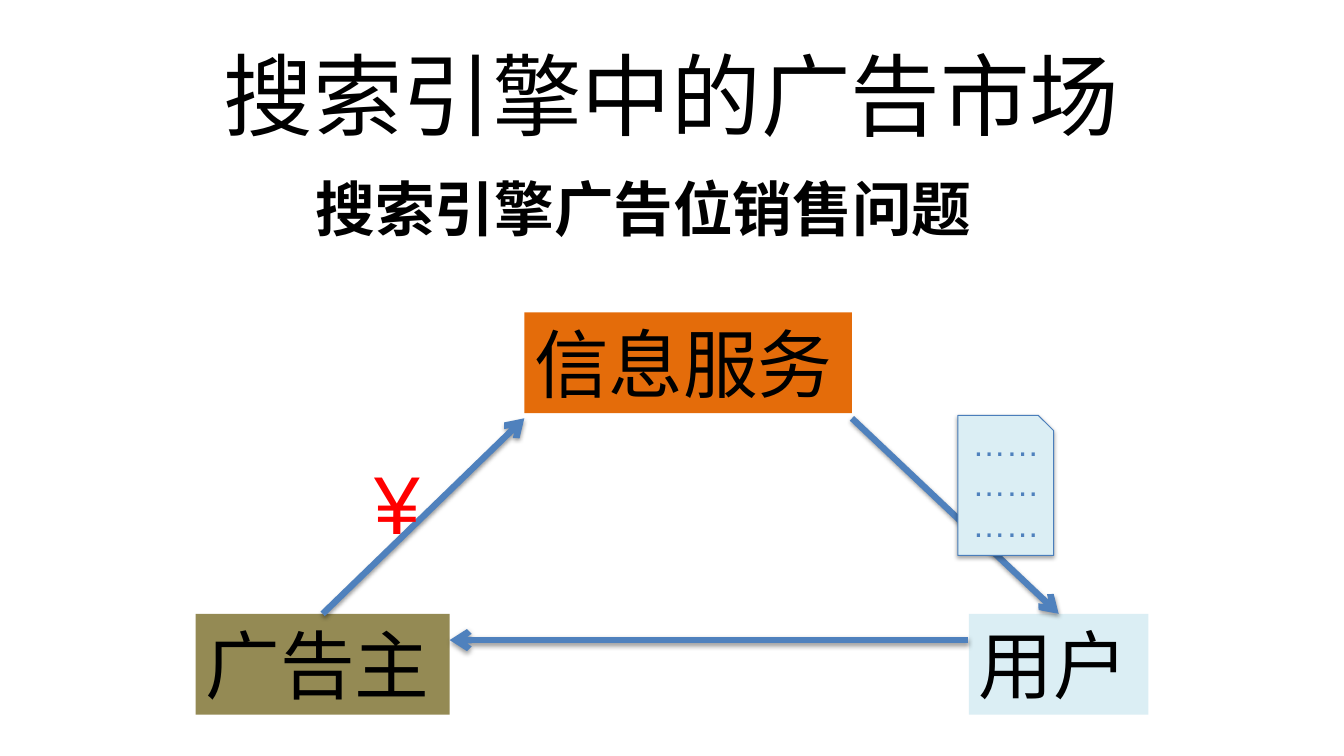
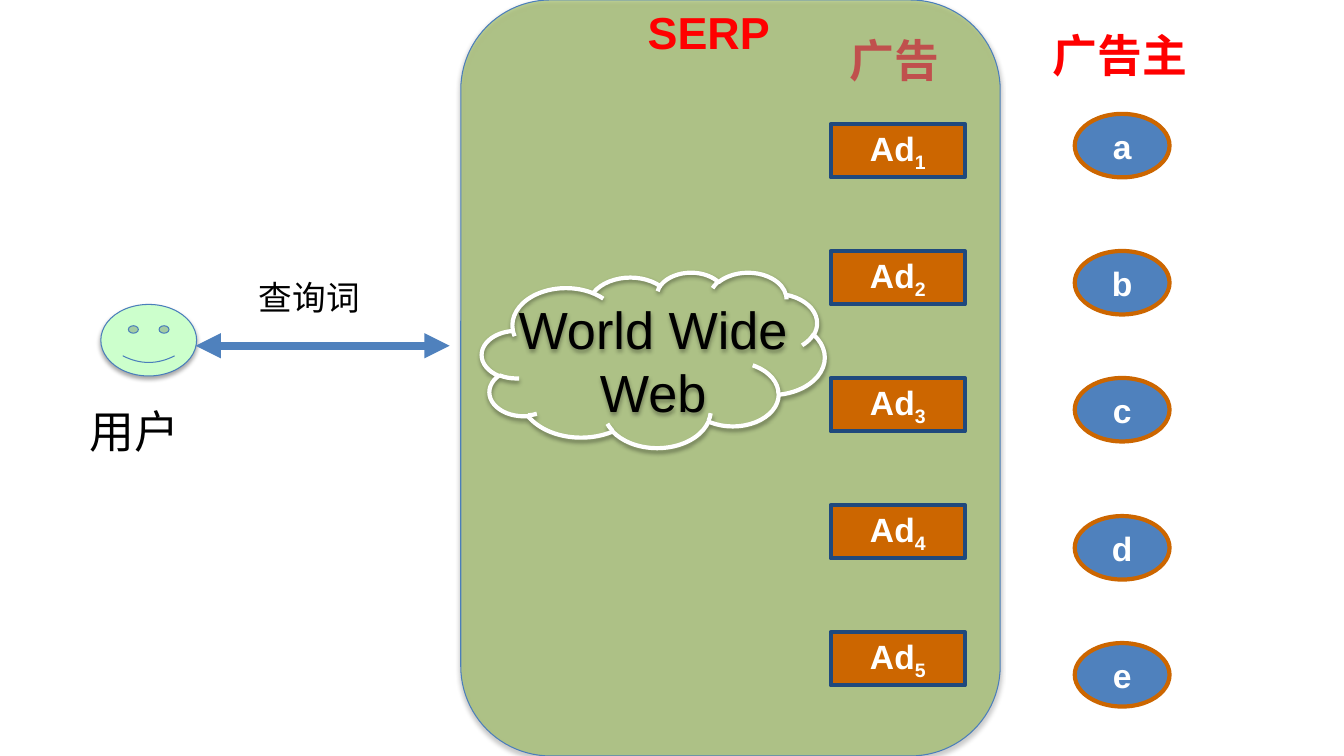
from dataclasses import dataclass
from typing import Optional

from lxml import etree
from pptx import Presentation
from pptx.dml.color import RGBColor
from pptx.enum.shapes import MSO_CONNECTOR, MSO_SHAPE
from pptx.enum.text import MSO_ANCHOR, MSO_AUTO_SIZE, PP_ALIGN
from pptx.oxml.ns import qn
from pptx.util import Inches, Pt

# Enum members
RECT, ROUND, OVAL = MSO_SHAPE.RECTANGLE, MSO_SHAPE.ROUNDED_RECTANGLE, MSO_SHAPE.OVAL
SMILE, CLOUD, SNIP = MSO_SHAPE.SMILEY_FACE, MSO_SHAPE.CLOUD, MSO_SHAPE.SNIP_1_RECTANGLE
TOP, MIDDLE = MSO_ANCHOR.TOP, MSO_ANCHOR.MIDDLE
LEFT, CENTER = PP_ALIGN.LEFT, PP_ALIGN.CENTER
STRAIGHT = MSO_CONNECTOR.STRAIGHT
NO_FIT = MSO_AUTO_SIZE.NONE

# Colours and font
FONT = "Arial"
BLACK = RGBColor(0x00, 0x00, 0x00)
WHITE = RGBColor(0xFF, 0xFF, 0xFF)
RED = RGBColor(0xFF, 0x00, 0x00)
BRICK = RGBColor(0xC0, 0x50, 0x4D)
BLUE = RGBColor(0x4F, 0x81, 0xBD)
EDGE = RGBColor(0x4A, 0x7E, 0xBB)
NAVY = RGBColor(0x1F, 0x49, 0x7D)
ORANGE = RGBColor(0xE4, 0x6C, 0x0A)
RUST = RGBColor(0xCC, 0x66, 0x00)
OLIVE = RGBColor(0x94, 0x8A, 0x54)
GREEN = RGBColor(0x9B, 0xBB, 0x59)
MINT = RGBColor(0xCC, 0xFF, 0xCC)
ICE = RGBColor(0xDB, 0xEE, 0xF4)

Box = tuple[float, float, float, float]
Point = tuple[float, float]


@dataclass
class Words:
    text: str
    size: float
    color: RGBColor = BLACK
    bold: bool = False
    align: PP_ALIGN = LEFT
    anchor: MSO_ANCHOR = TOP
    wrap: bool = True
    sub: str = ""


@dataclass
class Look:
    kind: MSO_SHAPE
    fill: Optional[RGBColor] = None
    line: Optional[RGBColor] = None
    width: float = 0.75
    shadow: bool = False


@dataclass
class Label:
    box: Box
    words: Words


def style(font, words: Words) -> None:
    values = {"name": FONT, "size": Pt(words.size), "bold": words.bold}
    for key, value in values.items():
        setattr(font, key, value)
    font.color.rgb = words.color


def write(shape, words: Words) -> None:
    frame = shape.text_frame
    frame.auto_size = NO_FIT
    frame.word_wrap = words.wrap
    frame.vertical_anchor = words.anchor
    frame.text = words.text
    for para in frame.paragraphs:
        para.alignment = words.align
        for run in para.runs:
            style(run.font, words)
    if words.sub:
        run = frame.paragraphs[0].add_run()
        run.text = words.sub
        style(run.font, words)
        run.font._element.set("baseline", "-25000")


def place(shape, box: Box) -> None:
    for key, value in zip(("left", "top", "width", "height"), box):
        setattr(shape, key, Inches(value))


def label(slide, item: Label) -> None:
    write(slide.shapes.add_textbox(*map(Inches, item.box)), item.words)


def draw(slide, box: Box, look: Look, words: Optional[Words] = None):
    shape = slide.shapes.add_shape(look.kind, *map(Inches, box))
    if not look.shadow:
        shape.shadow.inherit = False
    if look.fill is None:
        shape.fill.background()
    else:
        shape.fill.solid()
        shape.fill.fore_color.rgb = look.fill
    if look.line is None:
        shape.line.fill.background()
    else:
        shape.line.color.rgb = look.line
        shape.line.width = Pt(look.width)
    if words:
        write(shape, words)
    return shape


def arrow(slide, start: Point, end: Point, width: float, ends: dict[str, str],
          shadow: bool = True):
    line = slide.shapes.add_connector(STRAIGHT, *map(Inches, start + end))
    line.line.color.rgb = BLUE
    line.line.width = Pt(width)
    stroke = line.line._get_or_add_ln()
    for tag, kind in ends.items():
        etree.SubElement(stroke, qn(f"a:{tag}")).set("type", kind)
    if not shadow:
        etree.SubElement(line._element.spPr, qn("a:effectLst"))
    return line


def market(deck) -> None:
    slide = deck.slides.add_slide(deck.slide_layouts[5])
    title = slide.shapes.title
    place(title, (0.89, 0.08, 11.54, 1.49))
    write(title, Words("搜索引擎中的广告市场", 64, align=CENTER, anchor=MIDDLE))
    title.text_frame.paragraphs[0].line_spacing = 1.2
    label(slide, Label((3.03, 1.66, 6.82, 0.82),
                       Words("搜索引擎广告位销售问题", 42.6, bold=True)))

    # Three parties
    draw(slide, (5.2, 3.1, 3.25, 1), Look(RECT, ORANGE), Words("信息服务", 53.3))
    seller = draw(slide, (1.94, 6.09, 2.52, 1), Look(RECT, OLIVE), Words("广告主", 53.3))
    user = draw(slide, (9.61, 6.09, 1.78, 1), Look(RECT, ICE), Words("用户", 53.3))

    # Flows of money, pages and attention
    tip = {"tailEnd": "arrow"}
    pay = arrow(slide, (3.2, 6.09), (5.2, 4.15), 4.5, tip)
    pay.begin_connect(seller, 0)
    label(slide, Label((3.62, 4.44, 1.05, 1.09), Words("¥", 58.6, RED)))
    serve = arrow(slide, (8.45, 4.15), (10.5, 6.09), 4.5, tip)
    serve.end_connect(user, 0)
    page = draw(slide, (9.5, 4.12, 0.95, 1.39), Look(SNIP, ICE, EDGE, shadow=True),
                Words("\n".join(["……"] * 3), 24, BLUE, align=CENTER, wrap=False))
    page.adjustments[0] = 0.16
    frame = page.text_frame
    frame.margin_top = frame.margin_right = 0
    frame.margin_left = Inches(0.08)
    arrow(slide, (9.6, 6.35), (4.46, 6.35), 4.5, tip)


def results(deck) -> None:
    slide = deck.slides.add_slide(deck.slide_layouts[6])

    # User and result page
    draw(slide, (1, 3.02, 0.95, 0.71), Look(SMILE, MINT, EDGE, shadow=True))
    panel = draw(slide, (4.57, 0, 5.35, 7.5), Look(ROUND, GREEN, EDGE, shadow=True))
    tint = panel._element.spPr.find(f"{qn('a:solidFill')}/{qn('a:srgbClr')}")
    etree.SubElement(tint, qn("a:alpha")).set("val", "60000")
    for item in (
        Label((0.79, 3.96, 1.26, 0.64), Words("用户", 32)),
        Label((2.47, 2.7, 1.47, 0.5), Words("查询词", 24)),
        Label((5.93, 0, 2.2, 0.64), Words("SERP", 32, RED, True, CENTER)),
        Label((10.34, 0.23, 1.62, 0.64), Words("广告主", 32, RED, True)),
        Label((8.33, 0.28, 1.18, 0.64), Words("广告", 32, BRICK, True)),
    ):
        label(slide, item)
    arrow(slide, (1.94, 3.43), (4.46, 3.43), 6,
          {"headEnd": "triangle", "tailEnd": "triangle"}, shadow=False)

    # Web cloud
    cloud = draw(slide, (4.78, 2.7, 3.4, 1.74), Look(CLOUD, None, WHITE, 3, True),
                 Words("World Wide\vWeb", 37.3, align=CENTER, anchor=MIDDLE, wrap=False))
    frame = cloud.text_frame
    frame.margin_left, frame.margin_top = Inches(0.24), Inches(0.08)
    frame.margin_right = frame.margin_bottom = 0

    # Advertisers and their ads
    tops = (1.13, 2.49, 3.75, 5.12, 6.38)
    for i, (name, top) in enumerate(zip("abcde", tops)):
        draw(slide, (10.66, top, 0.94, 0.63), Look(OVAL, BLUE, RUST, 3),
             Words(name, 24, WHITE, True, CENTER, MIDDLE, False))
        draw(slide, (8.24, 1.23 + 1.26 * i, 1.33, 0.53), Look(RECT, RUST, NAVY, 3),
             Words("Ad", 24, WHITE, True, CENTER, MIDDLE, False, str(i + 1)))


def main() -> None:
    deck = Presentation()
    deck.slide_width, deck.slide_height = Inches(13.33), Inches(7.5)
    market(deck)
    results(deck)
    deck.save("out.pptx")


if __name__ == "__main__":
    main()
